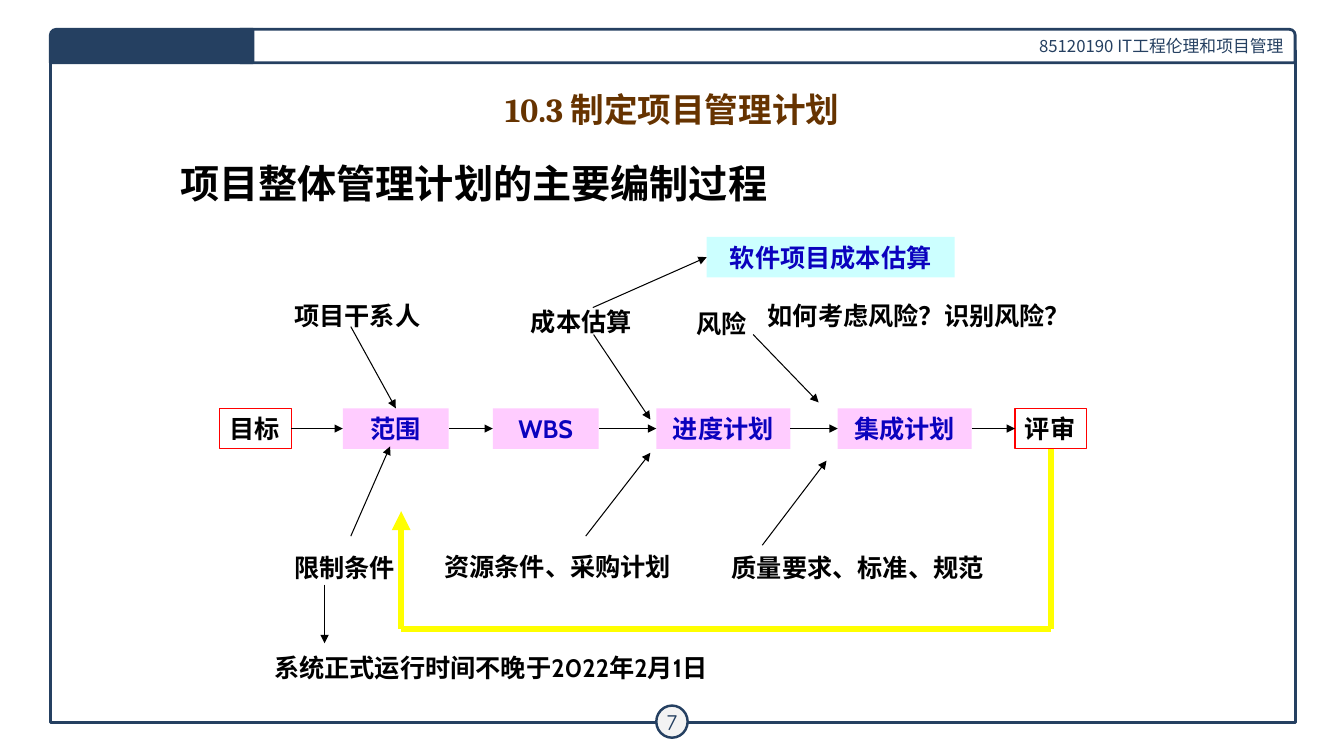
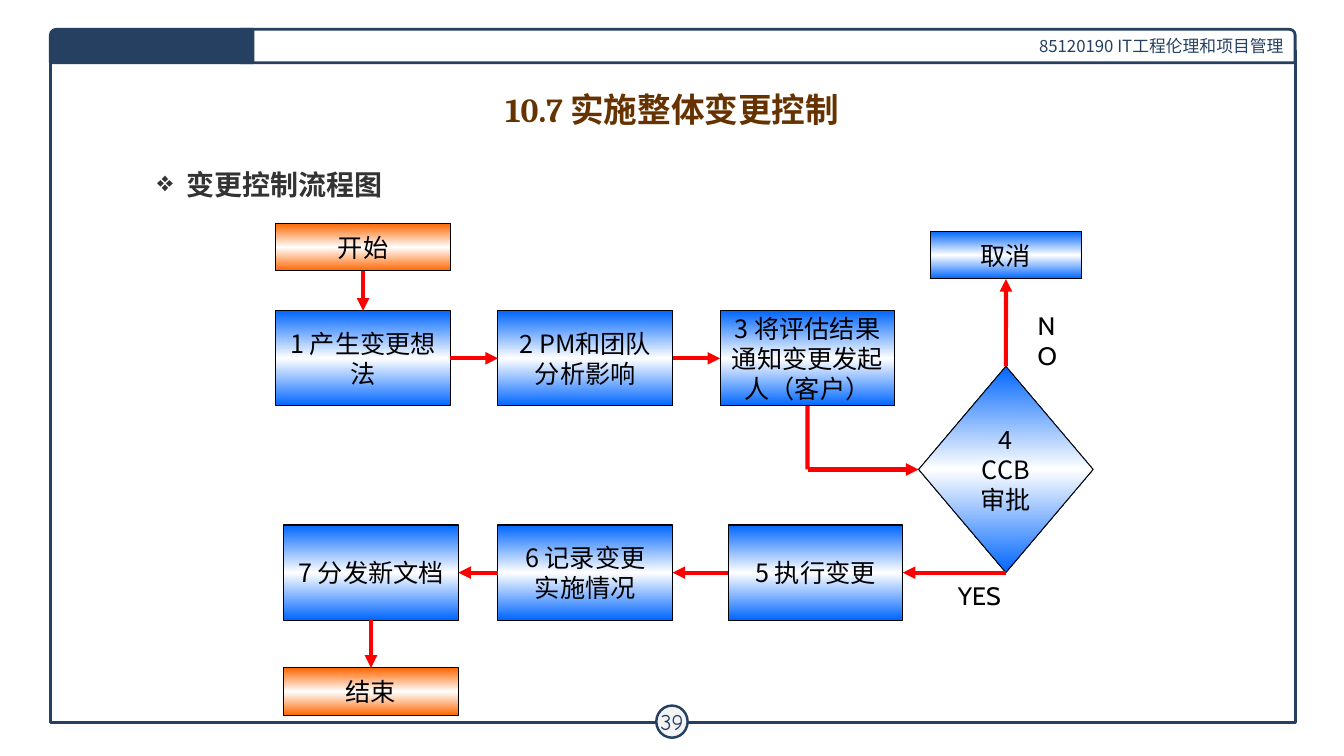
import copy

import pptx
import pptx.dml.color
import pptx.enum.shapes
import pptx.enum.text
import pptx.oxml.ns
import pptx.util
from lxml import etree

Cm = pptx.util.Cm
Pt = pptx.util.Pt
qn = pptx.oxml.ns.qn
SHAPE = pptx.enum.shapes.MSO_SHAPE
ALIGN = pptx.enum.text.PP_ALIGN
ANCHOR = pptx.enum.text.MSO_ANCHOR

COLORS = {
    "navy": "254061", "white": "FFFFFF", "badge": "F3F3F3", "title": "663300",
    "black": "000000", "body": "333333", "pink": "FFCCFF", "cyan": "CCFFFF",
    "link_blue": "0B02BE", "red": "FF0000", "yellow": "FFFF00",
    "step": "0066FF", "terminal": "FF6600",
}
CJK = "Noto Sans CJK SC"
TOP, LEFT, BOTTOM, RIGHT = range(4)


def rgb(name):
    return pptx.dml.color.RGBColor.from_string(COLORS[name])


def place(box, x, y, w, h):
    """Box (cm) at x, y inside another box."""
    return box[0] + x, box[1] + y, w, h


def add_bullet(p, mark):
    """Hanging bullet; must precede the paragraph's font settings."""
    props = p._p.get_or_add_pPr()
    props.set("marL", str(Cm(0.74)))
    props.set("indent", str(-Cm(0.74)))
    etree.SubElement(props, qn("a:buChar")).set("char", mark)


def style_text(sp, lines, size, font, color="black", bold=False,
               align=ALIGN.LEFT, anchor=ANCHOR.TOP, wrap=True, bullet=None):
    tf = sp.text_frame
    tf.word_wrap = wrap
    tf.vertical_anchor = anchor
    tf.text = lines
    for p in tf.paragraphs:
        if bullet:
            add_bullet(p, bullet)
        p.alignment = align
        p.font.size = Pt(size)
        p.font.bold = bold
        p.font.name = font
        p.font.color.rgb = rgb(color)
        props = p._p.pPr.find(qn("a:defRPr"))
        latin = props.find(qn("a:latin"))
        east = etree.Element(qn("a:ea"))
        east.set("typeface", CJK)
        latin.addnext(east)


def add_text(slide, box, lines, size, font, **style):
    sp = slide.shapes.add_textbox(*map(Cm, box))
    style_text(sp, lines, size, font, **style)
    return sp


def add_box(slide, box, fill=None, line=None, width=0.75, kind=SHAPE.RECTANGLE):
    sp = slide.shapes.add_shape(kind, *map(Cm, box))
    sp.shadow.inherit = False
    if fill:
        sp.fill.solid()
        sp.fill.fore_color.rgb = rgb(fill)
    else:
        sp.fill.background()
    if line:
        sp.line.color.rgb = rgb(line)
        sp.line.width = Pt(width)
    else:
        sp.line.fill.background()
    return sp


def add_link(slide, box, start, end, color, width, head=True):
    """Line between ends that are each (x, y) in the box or (shape, side)."""
    def is_point(spot):
        return isinstance(spot[0], (int, float))

    def position(spot):
        if is_point(spot):
            return Cm(box[0] + spot[0]), Cm(box[1] + spot[1])
        return spot[0].left, spot[0].top

    c = slide.shapes.add_connector(pptx.enum.shapes.MSO_CONNECTOR.STRAIGHT,
                                   *position(start), *position(end))
    if not is_point(start):
        c.begin_connect(*start)
    if not is_point(end):
        c.end_connect(*end)
    c.line.color.rgb = rgb(color)
    c.line.width = Pt(width)
    if head:
        tail = etree.SubElement(c.line._get_or_add_ln(), qn("a:tailEnd"))
        tail.set("type", "triangle")
    etree.SubElement(c._element.spPr, qn("a:effectLst"))
    return c


def add_frame(slide, box, title, number):
    """Border, header band, page badge and title shared by the slides."""
    x, y, w, h = box
    add_box(slide, (x, y + 0.53, w, h - 0.53), line="navy", width=2)
    band = add_box(slide, (x + 4.78, y, w - 4.78, 0.84), "white", "navy", 2,
                   SHAPE.ROUND_1_RECTANGLE)
    style_text(band, "85120190 IT工程伦理和项目管理", 12, CJK, color="navy",
               align=ALIGN.RIGHT, anchor=ANCHOR.MIDDLE)
    badge = add_box(slide, (x + 15.27, y + h - 0.43, 0.79, 0.81), "badge", "navy",
                    1.75, SHAPE.OVAL)
    style_text(badge, number, 16, "Comic Neue", color="navy", align=ALIGN.CENTER,
               anchor=ANCHOR.MIDDLE, wrap=False)
    tf = badge.text_frame
    tf.margin_left = tf.margin_right = tf.margin_top = tf.margin_bottom = Cm(0.1)
    tab = add_box(slide, (x, y, 5.11, 0.84), "navy", "navy", 2,
                  SHAPE.ROUND_1_RECTANGLE)
    tab.adjustments[0] = 0.175
    tab._element.spPr.find(qn("a:xfrm")).set("flipH", "1")
    add_text(slide, (x + 0.43, y + 1.39, 30.48, 1.22), title, 24, "Cambria",
             color="title", bold=True, align=ALIGN.CENTER, anchor=ANCHOR.MIDDLE)


def add_planning_flow(slide, box):
    row_y = 4.83  # centre line of the main chain
    label = {"size": 18, "font": "Cabin", "bold": True}
    caption = {**label, "color": "link_blue", "align": ALIGN.CENTER}

    chain = []
    for name, x, w in (("目标", 0, 1.8), ("范围", 3.1, 2.67), ("WBS", 6.88, 2.67),
                       ("进度计划", 11, 3.38), ("集成计划", 15.57, 3.38),
                       ("评审", 20.04, 1.8)):
        is_end = name in ("目标", "评审")
        spot = place(box, x, row_y - 0.51, w, 1.02)
        if is_end:
            sp = add_box(slide, spot, line="red")
            style_text(sp, name, wrap=False, **label)
        else:
            sp = add_box(slide, spot, "pink")
            style_text(sp, name, **caption)
        chain.append(sp)
    estimate = add_box(slide, place(box, 12.27, 0, 6.25, 1.02), "cyan")
    style_text(estimate, "软件项目成本估算", **caption)

    arrows = [((a, RIGHT), (b, LEFT)) for a, b in zip(chain, chain[1:])]
    arrows += [
        ((3.3, 2.26), (chain[1], TOP)),
        ((9.42, 2.46), (10.85, 4.6)),
        ((13.44, 2.46), (15.09, 4.17)),
        ((3.3, 7.54), (4.29, 5.28)),
        ((9.22, 7.54), (10.85, 5.44)),
        ((13.67, 7.77), (15.29, 5.64)),
        ((2.64, 8.76), (2.64, 10.24)),
        ((9.4, 1.78), (estimate, LEFT)),
    ]
    for start, end in arrows:
        add_link(slide, box, start, end, "black", 0.75)

    for text, x, y, w in (("限制条件", 1.63, 7.82, 3.1),
                          ("资源条件、采购计划", 5.41, 7.8, 6.32),
                          ("质量要求、标准、规范", 12.65, 7.82, 6.96),
                          ("项目干系人", 1.63, 1.47, 3.73),
                          ("成本估算", 7.59, 1.63, 3.1),
                          ("风险", 11.76, 1.68, 1.8),
                          ("如何考虑风险？识别风险？", 13.56, 1.47, 8.26)):
        add_text(slide, place(box, x, y, w, 1.02), text, wrap=False, **label)
    add_text(slide, place(box, 1.12, 10.34, 11.94, 1.02),
             "系统正式运行时间不晚于2022年2月1日", **label)

    right, low, left = 20.94, 9.88, 4.57
    add_link(slide, box, (chain[-1], BOTTOM), (right, low), "yellow", 4.5, head=False)
    add_link(slide, box, (left, low), (right, low), "yellow", 4.5, head=False)
    add_link(slide, box, (left, low), (left, 6.91), "yellow", 4.5)


def add_gradient_box(slide, box, text, edge="step", kind=SHAPE.RECTANGLE):
    """Outlined box shaded from the edge colour to white and back."""
    sp = add_box(slide, box, line="black", kind=kind)
    sp.fill.gradient()
    sp.fill.gradient_angle = 90
    first, middle = sp.fill.gradient_stops
    first.color.rgb = rgb(edge)
    first.position = 0
    middle.color.rgb = rgb("white")
    middle.position = 0.5
    stops = sp._element.spPr.find(".//" + qn("a:gsLst"))
    last = copy.deepcopy(stops[0])
    last.set("pos", "100000")
    stops.append(last)
    style_text(sp, text, 18, CJK, align=ALIGN.CENTER, anchor=ANCHOR.MIDDLE)
    return sp


def add_change_flow(slide, box):
    w, tall, low = 4.4, 2.4, 1.2

    def node(text, x, y, h=tall, width=w, **look):
        return add_gradient_box(slide, place(box, x, y, width, h), text, **look)

    start = node("开始", 0, 0, low, edge="terminal")
    idea, impact, notify = [
        node(text, i * 5.6, 2.2) for i, text in enumerate(
            ("1 产生变更想法", "2 PM和团队分析影响", "3 将评估结果通知变更发起人（客户）"))]
    cancel = node("取消", 16.5, 0.2, low, 3.8)
    approve = node("4 CCB审批", 16.2, 3.6, 5.2, kind=SHAPE.DIAMOND)
    execute = node("5 执行变更", 11.4, 7.6)
    record = node("6 记录变更\n实施情况", 5.6, 7.6)
    issue = node("7 分发新文档", 0.2, 7.6)
    end = node("结束", 0.2, 11.2, low, edge="terminal")

    corner = (13.4, 6.2)
    add_link(slide, box, (notify, BOTTOM), corner, "red", 3, head=False)
    for a, b in (((start, BOTTOM), (idea, TOP)),
                 ((idea, RIGHT), (impact, LEFT)),
                 ((impact, RIGHT), (notify, LEFT)),
                 (corner, (approve, LEFT)),
                 ((approve, TOP), (cancel, BOTTOM)),
                 ((approve, BOTTOM), (execute, RIGHT)),
                 ((execute, LEFT), (record, RIGHT)),
                 ((record, LEFT), (issue, RIGHT)),
                 ((issue, BOTTOM), (end, TOP))):
        add_link(slide, box, a, b, "red", 3)

    add_text(slide, place(box, 18.95, 2.06, 1.4, 1.02), "NO", 18, "Cabin")
    add_text(slide, place(box, 16.94, 8.86, 2.2, 1.02), "YES", 18, "Cabin", wrap=False)


def main():
    prs = pptx.Presentation()
    prs.slide_width, prs.slide_height = Cm(33.87), Cm(19.05)
    blank = prs.slide_layouts[6]
    frame = (1.27, 0.74, 31.37, 17.47)

    planning = prs.slides.add_slide(blank)
    add_frame(planning, frame, "10.3 制定项目管理计划", "7")
    add_text(planning, (4.29, 3.91, 16.79, 1.4), "项目整体管理计划的主要编制过程", 28,
             "Arial", bold=True, anchor=ANCHOR.MIDDLE, wrap=False)
    add_planning_flow(planning, (5.54, 5.97, 21.84, 11.36))

    change = prs.slides.add_slide(blank)
    add_frame(change, frame, "10.7 实施整体变更控制", "39")
    add_text(change, (3.71, 3.68, 22.86, 1.93), "变更控制流程图", 20, "Cambria",
             color="body", bold=True, anchor=ANCHOR.MIDDLE, bullet="❖")
    add_change_flow(change, (6.95, 5.63, 20.6, 12.4))

    prs.save("out.pptx")


if __name__ == "__main__":
    main()
